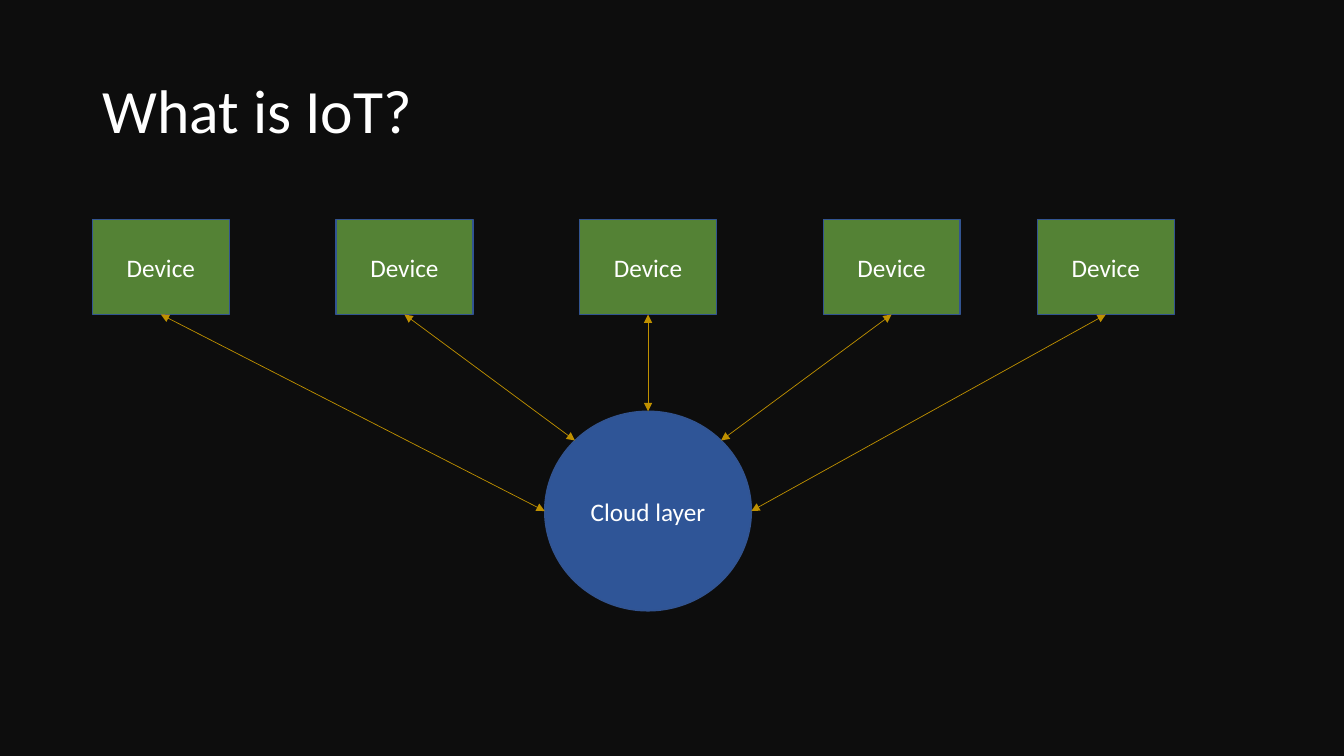
from math import cos, radians, sin

from lxml import etree
from pptx import Presentation
from pptx.dml.color import RGBColor
from pptx.enum.shapes import MSO_CONNECTOR, MSO_SHAPE
from pptx.enum.text import MSO_ANCHOR, PP_ALIGN
from pptx.oxml.ns import qn
from pptx.util import Inches, Pt

RECTANGLE, OVAL = MSO_SHAPE.RECTANGLE, MSO_SHAPE.OVAL
STRAIGHT = MSO_CONNECTOR.STRAIGHT
MIDDLE = MSO_ANCHOR.MIDDLE
LEFT, CENTER = PP_ALIGN.LEFT, PP_ALIGN.CENTER

COLORS = {
    "background": "0D0D0D",
    "text": "FFFFFF",
    "device": "548235",
    "cloud": "2F5597",
    "outline": "325491",
    "arrow": "BF9000",
}
COLUMNS, ROWS = 160, 90
TITLE_ONLY = 5
RECT_BOTTOM = 2
OVAL_SITES = 8

DEVICE_LEFTS = [11, 40, 69, 98, 123.5]
DEVICE_TOP, DEVICE_WIDTH, DEVICE_HEIGHT = 26.16, 16.3, 11.28
CLOUD_BOX = (64.85, 48.96, 24.6, 23.76)


def color(name):
    """Return the named palette colour."""
    return RGBColor.from_string(COLORS[name])


class SlideBuilder:
    """Hold the deck style and draw elements on the current slide."""

    font = "Calibri"

    def __init__(self, deck):
        """Add a title-only slide with a dark background."""
        self.column = deck.slide_width / COLUMNS
        self.row = deck.slide_height / ROWS
        self.slide = deck.slides.add_slide(deck.slide_layouts[TITLE_ONLY])
        fill = self.slide.background.fill
        fill.solid()
        fill.fore_color.rgb = color("background")

    def place(self, left, top, width, height):
        """Convert a grid box to slide lengths."""
        return (round(left * self.column), round(top * self.row),
                round(width * self.column), round(height * self.row))

    def label(self, shape, text, size, align):
        """Put one formatted run into a shape."""
        frame = shape.text_frame
        frame.word_wrap = True
        frame.vertical_anchor = MIDDLE
        paragraph = frame.paragraphs[0]
        paragraph.alignment = align
        run = paragraph.add_run()
        run.text = text
        run.font.name = self.font
        run.font.size = Pt(size)
        run.font.color.rgb = color("text")
        return paragraph

    def title(self, text, box):
        """Move and fill the title placeholder."""
        heading = self.slide.shapes.title
        heading.left, heading.top, heading.width, heading.height = self.place(*box)
        self.label(heading, text, 44, LEFT).line_spacing = 0.9

    def node(self, kind, text, fill, box):
        """Draw a labelled node of the diagram."""
        node = self.slide.shapes.add_shape(kind, *self.place(*box))
        node.shadow.inherit = False
        node.fill.solid()
        node.fill.fore_color.rgb = color(fill)
        node.line.color.rgb = color("outline")
        node.line.width = Pt(1)
        self.label(node, text, 18, CENTER)
        return node

    def link(self, device, cloud, site):
        """Join a device's bottom to a site on the cloud's rim."""
        angle = radians(90 + site * 360 / OVAL_SITES)
        end_x = cloud.left + cloud.width / 2 * (1 + cos(angle))
        end_y = cloud.top + cloud.height / 2 * (1 - sin(angle))
        arrow = self.slide.shapes.add_connector(
            STRAIGHT, device.left + device.width // 2, device.top + device.height,
            round(end_x), round(end_y))
        arrow.begin_connect(device, RECT_BOTTOM)
        etree.SubElement(arrow._element.nvCxnSpPr.cNvCxnSpPr, qn("a:endCxn"),
                         id=str(cloud.shape_id), idx=str(site))
        arrow.line.color.rgb = color("arrow")
        arrow.line.width = Pt(0.5)
        properties = arrow._element.spPr
        for end in ("a:headEnd", "a:tailEnd"):
            etree.SubElement(properties.find(qn("a:ln")), qn(end), type="triangle")
        etree.SubElement(properties, qn("a:effectLst"))


deck = Presentation()
deck.slide_width, deck.slide_height = Inches(13.33), Inches(7.5)

builder = SlideBuilder(deck)
builder.title("What is IoT?", (11, 4.8, 138, 17.4))
devices = [
    builder.node(RECTANGLE, "Device", "device",
                 (left, DEVICE_TOP, DEVICE_WIDTH, DEVICE_HEIGHT))
    for left in DEVICE_LEFTS
]
cloud = builder.node(OVAL, "Cloud layer", "cloud", CLOUD_BOX)
for index, device in enumerate(devices):
    builder.link(device, cloud, (len(devices) // 2 - index) % OVAL_SITES)

deck.save("out.pptx")
